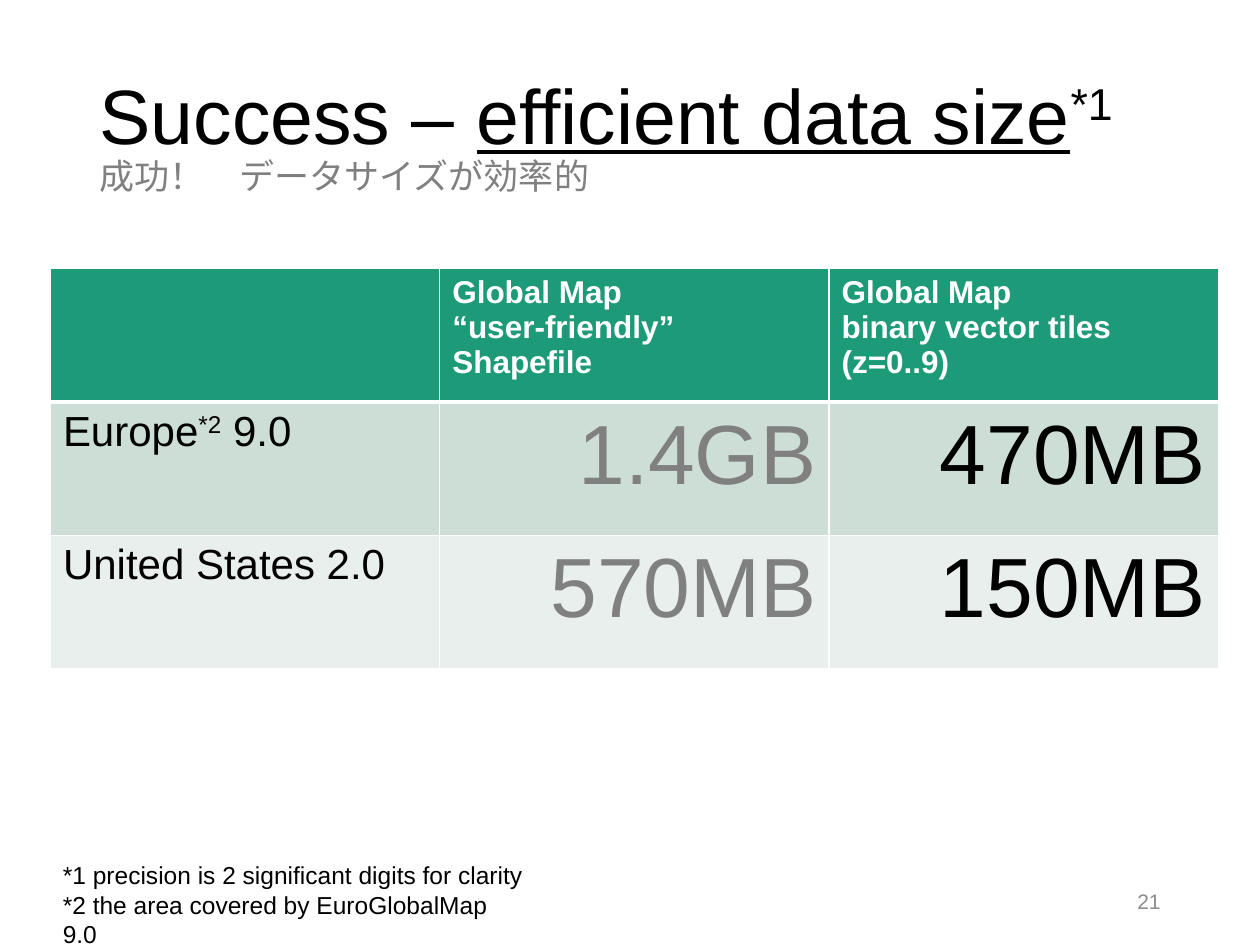
from dataclasses import dataclass

from lxml.etree import SubElement
from pptx import Presentation
from pptx.dml.color import RGBColor
from pptx.enum.text import MSO_ANCHOR, MSO_AUTO_SIZE, PP_ALIGN
from pptx.oxml.ns import qn
from pptx.util import Inches, Pt


@dataclass(frozen=True)
class Theme:
    font: str = "Arial"
    black: str = "000000"
    white: str = "FFFFFF"
    gray: str = "808080"
    number_gray: str = "8C8C8C"
    header_fill: str = "1D9A78"
    row_fills: tuple = ("CDDED6", "E8EFEC")
    title_size: int = 44
    value_size: int = 48
    label_size: int = 24
    subtitle_size: int = 20
    header_size: int = 18
    note_size: int = 14
    number_size: int = 12
    border: int = 1
    header_border: int = 3


THEME = Theme()
TITLE_LEFT = 0.69
TABLE_LEFT = 0.4
COLUMN_WIDTH = 3.09
ROW_HEIGHT = 1.06
HEADERS = (
    (),
    ("Global Map", "“user-friendly”", "Shapefile"),
    ("Global Map", "binary vector tiles", "(z=0..9)"),
)
ROWS = (
    (("Europe", "*2", " 9.0"), "1.4GB", "470MB"),
    (("United States 2.0",), "570MB", "150MB"),
)


def add_run(paragraph, text, size, color, bold=False, underline=False):
    run = paragraph.add_run()
    run.text = text
    run.font.name = THEME.font
    run.font.size = Pt(size)
    run.font.bold = bold
    run.font.underline = underline
    run.font.color.rgb = RGBColor.from_string(color)
    if text.startswith("*") and len(text) == 2:
        run._r.get_or_add_rPr().set("baseline", "30000")


def write_lines(frame, lines, size, color, bold=False, alignment=PP_ALIGN.LEFT):
    for index, runs in enumerate(lines):
        paragraph = frame.add_paragraph() if index else frame.paragraphs[0]
        paragraph.alignment = alignment
        for text in runs:
            add_run(paragraph, text, size, color, bold)


def add_text(slide, box, lines, size, color, alignment=PP_ALIGN.LEFT, anchor=MSO_ANCHOR.TOP):
    shape = slide.shapes.add_textbox(*map(Inches, box))
    shape.text_frame.word_wrap = True
    shape.text_frame.vertical_anchor = anchor
    write_lines(shape.text_frame, lines, size, color, alignment=alignment)


def format_title(slide):
    title = slide.shapes.title
    title.left, title.top, title.width, title.height = map(Inches, (TITLE_LEFT, 0.4, 8.62, 1.09))
    frame = title.text_frame
    frame.auto_size = MSO_AUTO_SIZE.NONE
    frame.vertical_anchor = MSO_ANCHOR.MIDDLE
    paragraph = frame.paragraphs[0]
    paragraph.alignment = PP_ALIGN.LEFT
    paragraph.line_spacing = 0.9
    for text, underline in (("Success – ", False), ("efficient data size", True), ("*1", False)):
        add_run(paragraph, text, THEME.title_size, THEME.black, underline=underline)


def format_cell(cell, fill, top=THEME.border, bottom=THEME.border):
    properties = cell._tc.get_or_add_tcPr()
    widths = {"lnL": THEME.border, "lnR": THEME.border, "lnT": top, "lnB": bottom}
    for tag, width in widths.items():
        line = SubElement(properties, qn(f"a:{tag}"), w=str(Pt(width)))
        line_fill = SubElement(line, qn("a:solidFill"))
        SubElement(line_fill, qn("a:srgbClr"), val=THEME.white)
    cell.fill.solid()
    cell.fill.fore_color.rgb = RGBColor.from_string(fill)


def add_size_table(slide):
    row_count, column_count = len(ROWS) + 1, len(HEADERS)
    box = (TABLE_LEFT, 2.13, COLUMN_WIDTH * column_count, ROW_HEIGHT * row_count)
    table = slide.shapes.add_table(row_count, column_count, *map(Inches, box)).table
    table.first_row = table.horz_banding = False

    for column, lines in enumerate(HEADERS):
        cell = table.cell(0, column)
        format_cell(cell, THEME.header_fill, bottom=THEME.header_border)
        write_lines(cell.text_frame, [(line,) for line in lines],
                    THEME.header_size, THEME.white, bold=True)

    for row, (label, *values) in enumerate(ROWS, start=1):
        for column in range(column_count):
            top = THEME.header_border if row == 1 else THEME.border
            format_cell(table.cell(row, column), THEME.row_fills[row - 1], top=top)
        write_lines(table.cell(row, 0).text_frame, [label], THEME.label_size, THEME.black)
        for column, (value, color) in enumerate(zip(values, (THEME.gray, THEME.black)), start=1):
            write_lines(table.cell(row, column).text_frame, [(value,)],
                        THEME.value_size, color, alignment=PP_ALIGN.RIGHT)


def main():
    presentation = Presentation()
    presentation.slide_width, presentation.slide_height = Inches(10), Inches(7.5)
    slide = presentation.slides.add_slide(presentation.slide_layouts[5])
    format_title(slide)
    add_text(slide, (7.06, 6.95, 2.25, 0.4), [("21",)], THEME.number_size,
             THEME.number_gray, PP_ALIGN.RIGHT, MSO_ANCHOR.MIDDLE)
    add_size_table(slide)
    notes = [
        ("*1 precision is 2 significant digits for clarity",),
        ("*2 the area covered by EuroGlobalMap 9.0",),
    ]
    add_text(slide, (TABLE_LEFT, 6.78, 3.88, 0.57), notes, THEME.note_size, THEME.black)
    add_text(slide, (TITLE_LEFT, 1.18, 4.13, 0.44), [("成功！　データサイズが効率的",)],
             THEME.subtitle_size, THEME.gray)
    presentation.save("out.pptx")


if __name__ == "__main__":
    main()
